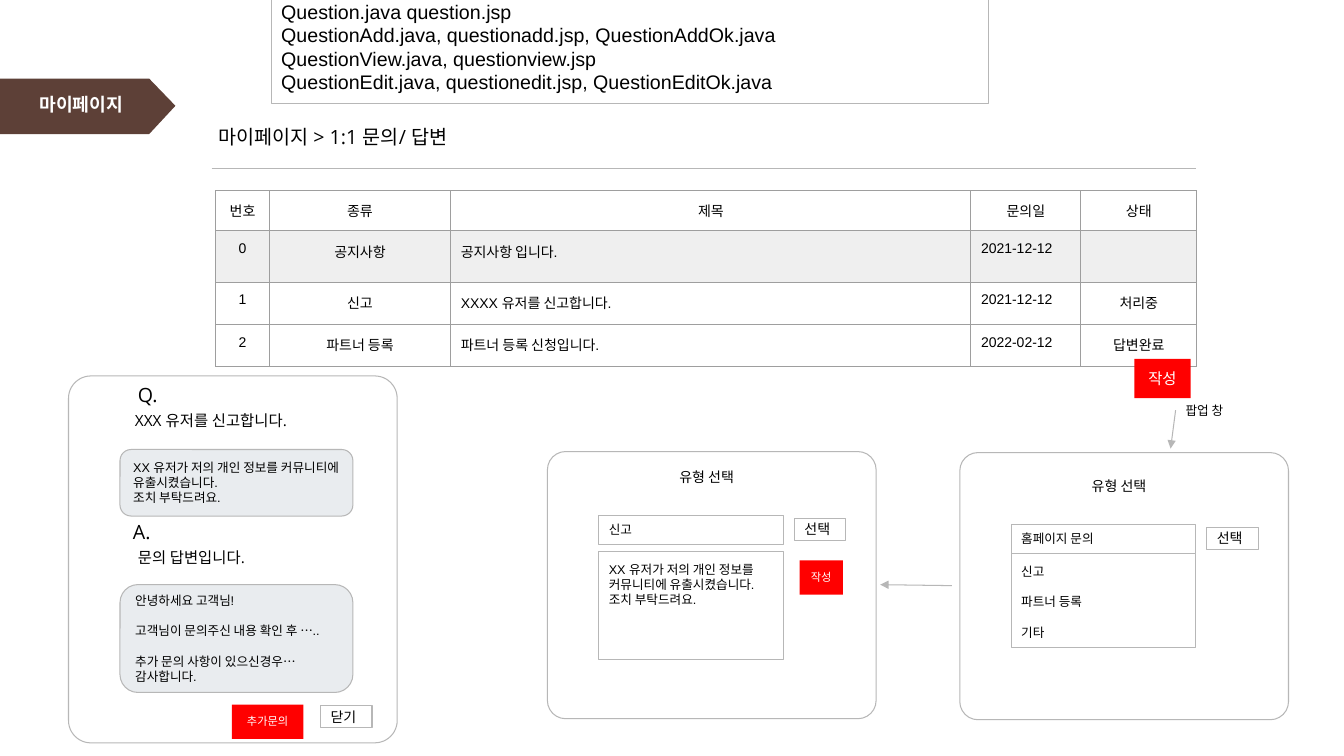
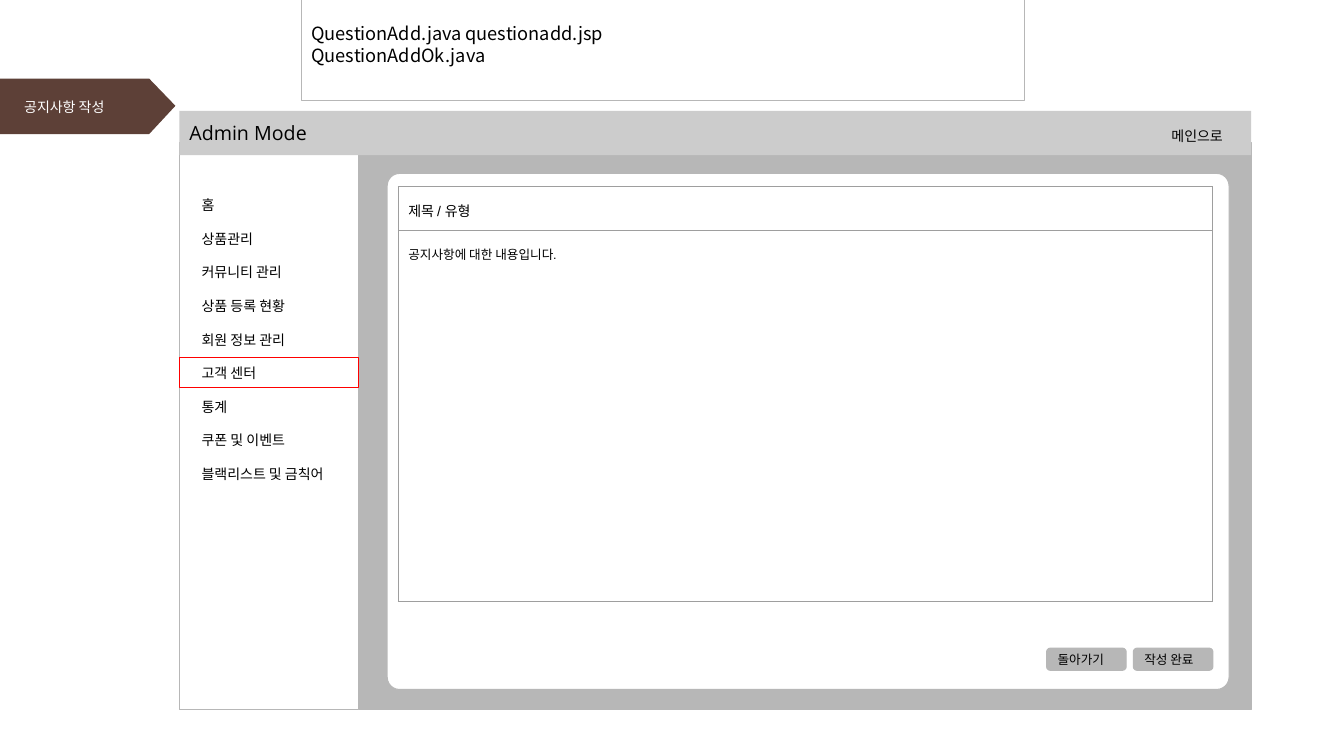
from dataclasses import dataclass

from lxml.etree import SubElement
from pptx import Presentation
from pptx.dml.color import RGBColor
from pptx.enum.shapes import MSO_CONNECTOR, MSO_SHAPE
from pptx.enum.text import MSO_ANCHOR, MSO_AUTO_SIZE, PP_ALIGN
from pptx.oxml.ns import qn
from pptx.util import Inches, Pt

# The grid has 133.3 columns and 75 rows of a tenth of an inch.
COLS, ROWS = 133.3, 75
BLACK = RGBColor(0x00, 0x00, 0x00)
WHITE = RGBColor(0xFF, 0xFF, 0xFF)
BROWN = RGBColor(0x5D, 0x40, 0x37)
RED = RGBColor(0xFF, 0x00, 0x00)
BORDER = RGBColor(0xB7, 0xB7, 0xB7)
HEADER = RGBColor(0xCC, 0xCC, 0xCC)
BUBBLE = RGBColor(0xE9, 0xEC, 0xEF)
NOTICE = RGBColor(0xEF, 0xEF, 0xEF)
TABLE_LINE = "9E9E9E"
SANS, UI, CJK = "Arial", "Open Sans", "Noto Sans CJK SC"
MIDDLE, CENTER = MSO_ANCHOR.MIDDLE, PP_ALIGN.CENTER
REPORT = "XX 유저가 저의 개인 정보를 커뮤니티에 유출시켰습니다.\n조치 부탁드려요."
MENU = ["홈", "상품관리", "커뮤니티 관리", "상품 등록 현황", "회원 정보 관리",
        "고객 센터", "통계", "쿠폰 및 이벤트", "블랙리스트 및 금칙어"]


@dataclass(frozen=True)
class Box:
    col: float
    row: float
    cols: float
    rows: float

    def emu(self):
        return [grid(v) for v in (self.col, self.row, self.cols, self.rows)]


@dataclass(frozen=True)
class Popup:
    box: Box
    inset: float
    choice: str
    detail: Box
    detail_text: str


def grid(units: float) -> int:
    return Inches(units / 10)


def write(tf, text: str, *, size=10, font=SANS, color=BLACK, bold=False,
          align=PP_ALIGN.LEFT, anchor=MSO_ANCHOR.TOP, spacing=None, gap=0):
    """Fill a text frame; an empty line in text becomes a gap in points."""
    tf.word_wrap = True
    tf.auto_size = MSO_AUTO_SIZE.NONE
    tf.vertical_anchor = anchor
    tf.margin_left = tf.margin_right = grid(1)
    tf.margin_top = tf.margin_bottom = grid(1)
    write_paragraphs(tf, text, size, font, color, bold, align, spacing, gap)


def write_paragraphs(tf, text, size, font, color, bold, align, spacing, gap):
    lines = [(line, gap if b and not i else 0)
             for b, block in enumerate(text.split("\n\n"))
             for i, line in enumerate(block.split("\n"))]
    for n, (line, before) in enumerate(lines):
        p = tf.add_paragraph() if n else tf.paragraphs[0]
        p.alignment = align
        p.space_before = Pt(before)
        if spacing:
            p.line_spacing = spacing
        r = p.add_run()
        r.text = line
        r.font.size = Pt(size)
        r.font.name = font
        r.font.bold = bold
        r.font.color.rgb = color


def shape(s, box: Box, text="", *, fill=WHITE, line=BORDER, radius=None, **fmt):
    """Draw a rectangle, rounded when a radius share is given."""
    kind = MSO_SHAPE.RECTANGLE if radius is None else MSO_SHAPE.ROUNDED_RECTANGLE
    sp = s.shapes.add_shape(kind, *box.emu())
    sp.shadow.inherit = False
    if radius is not None:
        sp.adjustments[0] = radius
    if fill is None:
        sp.fill.background()
    else:
        sp.fill.solid()
        sp.fill.fore_color.rgb = fill
    if line is None:
        sp.line.fill.background()
    else:
        sp.line.color.rgb = line
        sp.line.width = Pt(0.75)
    if text:
        write(sp.text_frame, text, **fmt)


def label(s, box: Box, text: str, **fmt):
    write(s.shapes.add_textbox(*box.emu()).text_frame, text, font=UI, **fmt)


def red_button(s, box: Box, text: str, size=8):
    shape(s, box, text, fill=RED, line=None, size=size, font=UI, color=WHITE, align=CENTER)


def white_button(s, col: float, row: float, text: str):
    shape(s, Box(col, row, 5.1, 2.2), text, anchor=MIDDLE)


def connector(s, start, end, arrow=True):
    c = s.shapes.add_connector(MSO_CONNECTOR.STRAIGHT, *map(grid, start + end))
    c.line.color.rgb = BORDER
    c.line.width = Pt(0.75)
    if arrow:
        SubElement(c.line._get_or_add_ln(), qn("a:tailEnd"), type="triangle")
    SubElement(c.element.spPr, qn("a:effectLst"))


def add_table(s, col, row, widths, heights):
    box = Box(col, row, sum(widths), sum(heights))
    table = s.shapes.add_table(len(heights), len(widths), *box.emu()).table
    table.first_row = table.horz_banding = False
    for column, width in zip(table.columns, widths):
        column.width = grid(width)
    for table_row, height in zip(table.rows, heights):
        table_row.height = grid(height)
    for cell in table.iter_cells():
        border_cell(cell)
    return table


def border_cell(cell):
    tc_pr = cell._tc.get_or_add_tcPr()
    for side in ("lnL", "lnR", "lnT", "lnB"):
        ln = SubElement(tc_pr, qn(f"a:{side}"), w=str(Pt(0.75)))
        SubElement(SubElement(ln, qn("a:solidFill")), qn("a:srgbClr"), val=TABLE_LINE)
    cell.fill.solid()
    cell.fill.fore_color.rgb = WHITE


def write_cell(cell, text: str, **fmt):
    cell.margin_left = cell.margin_right = grid(1)
    cell.margin_top = cell.margin_bottom = grid(1)
    options = dict(size=10, font=SANS, color=BLACK, bold=False,
                   align=PP_ALIGN.LEFT, spacing=None, gap=0)
    write_paragraphs(cell.text_frame, text, **{**options, **fmt})


def place(sp, box: Box):
    sp.left, sp.top, sp.width, sp.height = box.emu()


def add_tag(prs, s):
    """Put the brown title tag on the master, where every slide shows it."""
    builder = s.shapes.build_freeform(0, grid(7.8))
    builder.add_line_segments([(grid(x), grid(y)) for x, y in
                               ((14.8, 7.8), (17.4, 10.5), (14.8, 13.3), (0, 13.3))])
    tag = builder.convert_to_shape()
    tag.shadow.inherit = False
    tag.fill.solid()
    tag.fill.fore_color.rgb = BROWN
    tag.line.fill.background()
    tag.element.nvSpPr.cNvPr.id = 20
    prs.slide_master.shapes.element.append(tag.element)


def draw_popup(s, popup: Popup):
    x, y = popup.box.col, popup.box.row + popup.inset
    shape(s, popup.box, radius=0.068)
    label(s, Box(x + 12.1, y, 8.4, 3.7), "유형 선택")
    white_button(s, x + 24.5, y + 5.9, "선택")
    shape(s, Box(x + 5.1, y + 5.6, 18.3, 2.9), popup.choice, size=9, anchor=MIDDLE)
    shape(s, popup.detail, popup.detail_text, size=9, gap=11)


def draw_answer_card(s):
    shape(s, Box(6.8, 37.3, 32.6, 36.4), radius=0.068)
    label(s, Box(12.7, 37, 4.3, 4.4), "Q.", size=14)
    label(s, Box(12.4, 39.8, 20.6, 3.9), "XXX 유저를 신고합니다.", size=11)
    label(s, Box(12.2, 50.6, 4.3, 4.4), "A.", size=14)
    label(s, Box(12.7, 53.4, 20.6, 3.9), "문의 답변입니다.", size=11)
    answer = ("안녕하세요 고객님!\n\n고객님이 문의주신 내용 확인 후 …..\n\n"
              "추가 문의 사항이 있으신경우…\n감사합니다.")
    for row, rows, text in ((44.6, 6.6, REPORT), (58, 10.7, answer)):
        shape(s, Box(11.9, row, 23.1, rows), text, fill=BUBBLE, radius=0.167,
              size=9, anchor=MIDDLE, gap=11)
    white_button(s, 31.8, 70, "닫기")
    red_button(s, Box(23, 69.9, 7.1, 3.4), "추가문의")


def draw_question_table(s):
    rows = [("번호", "종류", "제목", "문의일", "상태"),
            ("0", "공지사항", "공지사항 입니다.", "2021-12-12", ""),
            ("1", "신고", "XXXX 유저를 신고합니다.", "2021-12-12", "처리중"),
            ("2", "파트너 등록", "파트너 등록 신청입니다.", "2022-02-12", "답변완료")]
    table = add_table(s, 21.4, 18.9, (5.3, 18, 51.6, 10.9, 11.5), (3.6, 5.1, 4.2, 4.2))
    for i, row in enumerate(rows):
        for j, text in enumerate(row):
            cell = table.cell(i, j)
            if text:
                centred = i == 0 or j in (0, 1, 4)
                write_cell(cell, text, align=CENTER if centred else PP_ALIGN.LEFT)
            if i == 1:
                cell.fill.fore_color.rgb = NOTICE


def draw_my_page(prs):
    s = prs.slides.add_slide(prs.slide_layouts[5])
    add_tag(prs, s)
    place(s.shapes.title, Box(-0.8, 8.3, 17.7, 7.6))
    write(s.shapes.title.text_frame, "마이페이지", size=13, font=UI, color=WHITE,
          bold=True, align=CENTER)
    label(s, Box(20.7, 11.4, 35, 4.4), "마이페이지 > 1:1 문의/ 답변", size=14)
    connector(s, (21, 16.7), (118.6, 16.7), arrow=False)
    draw_question_table(s)
    red_button(s, Box(112.5, 35.6, 5.6, 3.9), "작성", size=11)
    label(s, Box(116.6, 39, 13.1, 3.5), "팝업 창", size=9)
    for popup in (
        Popup(Box(95.2, 44.9, 32.6, 26.5), 1.5, "홈페이지 문의",
              Box(100.3, 54.9, 18.3, 9.3), "신고\n\n파트너 등록\n\n기타"),
        Popup(Box(54.3, 44.8, 32.6, 26.5), 0.7, "신고",
              Box(59.4, 54.7, 18.3, 10.7), REPORT),
    ):
        draw_popup(s, popup)
    red_button(s, Box(79.3, 55.6, 4.3, 3.4), "작성")
    connector(s, (116.6, 40.7), (116.1, 44.5))
    connector(s, (94.4, 58.1), (87.3, 58))
    draw_answer_card(s)
    files = ("Question.java question.jsp\n"
             "QuestionAdd.java, questionadd.jsp, QuestionAddOk.java\n"
             "QuestionView.java, questionview.jsp\n"
             "QuestionEdit.java, questionedit.jsp, QuestionEditOk.java")
    shape(s, Box(26.9, -1, 71.1, 11.3), files, size=14, anchor=MIDDLE)


def draw_menu(s):
    menu = s.placeholders[1]
    place(menu, Box(19, 18.5, 16.6, 30.6))
    write(menu.text_frame, "\n\n".join(MENU), font=UI, gap=12)
    for p in menu.text_frame.paragraphs:
        p_pr = p._p.get_or_add_pPr()
        p_pr.set("marL", "0")
        p_pr.set("indent", "0")
        SubElement(p_pr, qn("a:buNone"))
    s.shapes.element.append(menu.element)  # in front of the white panel


def draw_notice_form(prs):
    s = prs.slides.add_slide(prs.slide_layouts[1])
    place(s.shapes.title, Box(1.4, 8.8, 13.8, 5.4))
    write(s.shapes.title.text_frame, "공지사항 작성", font=UI, color=WHITE)
    shape(s, Box(17.8, 14.1, 106.3, 56.3), fill=BORDER)
    shape(s, Box(17.8, 14.1, 17.8, 56.3))
    draw_menu(s)
    shape(s, Box(17.8, 11, 106.3, 4.4), fill=HEADER, line=None)
    label(s, Box(17.8, 11, 16.6, 4.4), "Admin Mode", size=14)
    label(s, Box(115.2, 11.7, 8.9, 3.7), "메인으로")
    shape(s, Box(17.8, 35.5, 17.8, 2.9), fill=None, line=RED)
    shape(s, Box(38.4, 17.2, 83.5, 51.2), radius=0.024)
    table = add_table(s, 39.5, 18.5, (59, 10.9, 10.9), (4.1, 36.8))
    for i, (text, size) in enumerate((("제목 / 유형", 10), ("공지사항에 대한 내용입니다.", 9))):
        table.cell(i, 0).merge(table.cell(i, 2))
        write_cell(table.cell(i, 0), text, size=size, spacing=1.2)
    for i, text in enumerate(("돌아가기", "작성 완료")):
        shape(s, Box(103.8 + 8.6 * i, 64.3, 7.9, 2.2), text, fill=BORDER,
              radius=0.167, size=9, anchor=MIDDLE)
    shape(s, Box(29.9, -1.3, 71.7, 11.3), "QuestionAdd.java questionadd.jsp\nQuestionAddOk.java",
          size=13, font=CJK, anchor=MIDDLE)


def main():
    prs = Presentation()
    prs.slide_width, prs.slide_height = grid(COLS), grid(ROWS)
    draw_my_page(prs)
    draw_notice_form(prs)
    prs.save("out.pptx")


if __name__ == "__main__":
    main()
